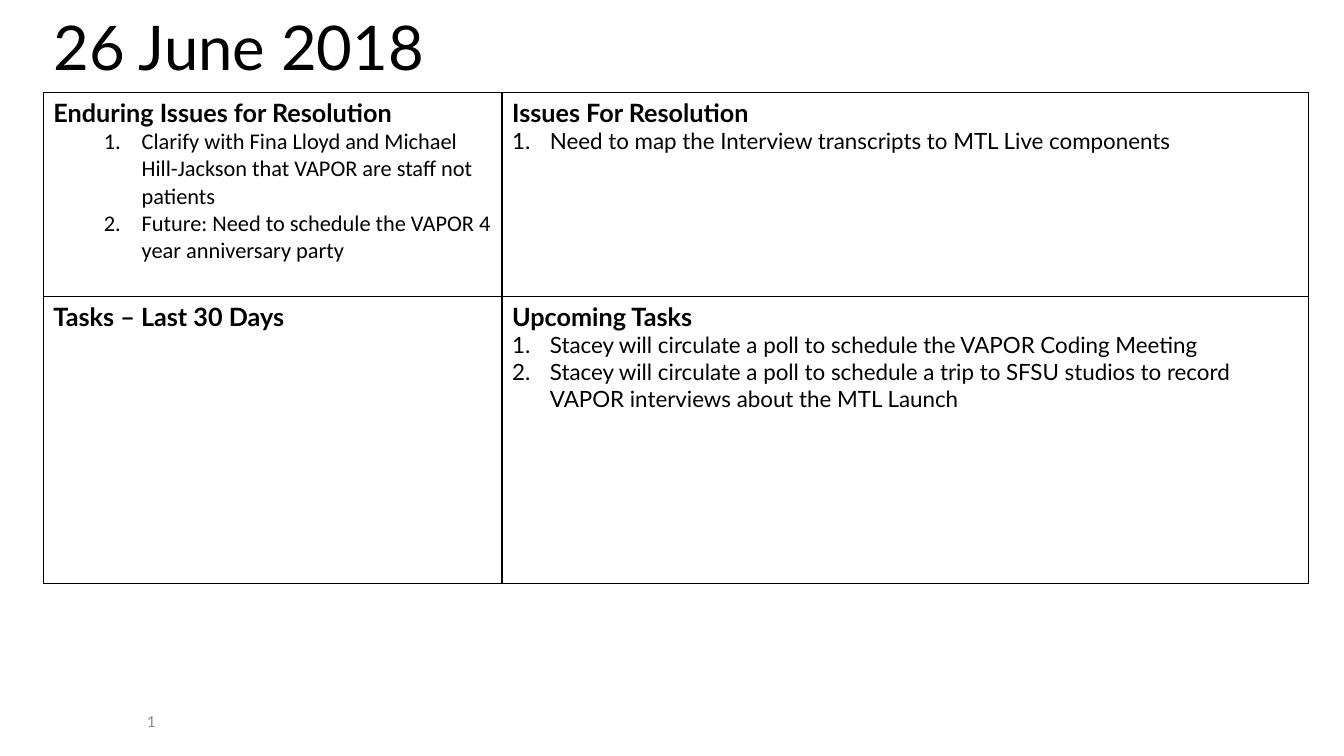
from lxml.etree import SubElement
from pptx import Presentation
from pptx.dml.color import RGBColor
from pptx.enum.text import MSO_ANCHOR as Anchor, PP_ALIGN as Align
from pptx.oxml import parse_xml
from pptx.oxml.ns import nsdecls, qn
from pptx.util import Pt

TITLE = "26 June 2018"
BLACK, GREY = "000000", "8C8C8C"
COLUMN_WIDTHS = (327.6, 576)
ROW_HEIGHTS = (145.4, 205)
LEFT, TABLE_TOP = 31, 66.2
HANGING = 27
SECTIONS = [
    [
        {"heading": "Enduring Issues for Resolution", "font": "Calibri", "level": 1, "items": [
            "Clarify with Fina Lloyd and Michael Hill-Jackson that VAPOR are staff not patients",
            "Future: Need to schedule the VAPOR 4 year anniversary party"]},
        {"heading": "Issues For Resolution", "font": "Lato", "level": 0, "items": [
            "Need to map the Interview transcripts to MTL Live components"]},
    ],
    [
        {"heading": "Tasks – Last 30 Days", "font": "Lato", "level": 0, "items": []},
        {"heading": "Upcoming Tasks", "font": "Lato", "level": 0, "items": [
            "Stacey will circulate a poll to schedule the VAPOR Coding Meeting",
            "Stacey will circulate a poll to schedule a trip to SFSU studios to record "
            "VAPOR interviews about the MTL Launch"]},
    ],
]


def set_font(paragraph, name, size, color, bold=False):
    """Format all the text of a paragraph."""
    font = paragraph.font
    font.name, font.size, font.bold = name, Pt(size), bold
    font.color.rgb = RGBColor.from_string(color)


def number_paragraph(paragraph, level):
    """Give a paragraph an automatic number and a hanging indent."""
    paragraph.level = level
    properties = paragraph._p.get_or_add_pPr()
    properties.set("marL", str(Pt(HANGING + 36 * level)))
    properties.set("indent", str(-Pt(HANGING)))
    numbering = parse_xml(f'<a:buAutoNum {nsdecls("a")} type="arabicPeriod"/>')
    font_properties = properties.find(qn("a:defRPr"))
    font_properties.addprevious(numbering)


def set_borders(cell):
    """Draw a thin black line on every side of a cell."""
    properties = cell._tc.get_or_add_tcPr()
    for position, side in enumerate(("lnL", "lnR", "lnT", "lnB")):
        properties.insert(position, parse_xml(
            f'<a:{side} {nsdecls("a")} w="{Pt(1)}"><a:solidFill>'
            f'<a:srgbClr val="{BLACK}"/></a:solidFill></a:{side}>'))


def fill_cell(cell, section):
    """Write a heading and its numbered items into a cell."""
    cell.fill.background()
    set_borders(cell)
    heading = cell.text_frame.paragraphs[0]
    heading.text = section["heading"]
    set_font(heading, "Lato", 18, BLACK, bold=True)
    for item in section["items"]:
        paragraph = cell.text_frame.add_paragraph()
        paragraph.text = item
        set_font(paragraph, section["font"], 16, BLACK)
        number_paragraph(paragraph, section["level"])


def add_title(slide):
    """Place and format the title."""
    title = slide.shapes.title
    title.left, title.top, title.width, title.height = map(Pt, (LEFT, 7.2, sum(COLUMN_WIDTHS), 57.6))
    title.text_frame.text = TITLE
    title.text_frame.vertical_anchor = Anchor.MIDDLE
    paragraph = title.text_frame.paragraphs[0]
    paragraph.alignment, paragraph.line_spacing = Align.LEFT, 0.9
    set_font(paragraph, "Lato", 44, BLACK)


def add_sections(slide):
    """Add the table of issues and tasks."""
    frame = slide.shapes.add_table(len(ROW_HEIGHTS), len(COLUMN_WIDTHS), Pt(LEFT), Pt(TABLE_TOP),
                                   Pt(sum(COLUMN_WIDTHS)), Pt(sum(ROW_HEIGHTS)))
    table = frame.table
    table.first_row = table.horz_banding = False
    for column, width in zip(table.columns, COLUMN_WIDTHS):
        column.width = Pt(width)
    for row, height, sections in zip(table.rows, ROW_HEIGHTS, SECTIONS):
        row.height = Pt(height)
        for cell, section in zip(row.cells, sections):
            fill_cell(cell, section)


def add_slide_number(slide):
    """Add a slide number field at the bottom left."""
    box = slide.shapes.add_textbox(Pt(0), Pt(500.4), Pt(216), Pt(28.8))
    box.text_frame.word_wrap = True
    box.text_frame.vertical_anchor = Anchor.MIDDLE
    paragraph = box.text_frame.paragraphs[0]
    paragraph.alignment = Align.CENTER
    set_font(paragraph, "Calibri", 12, GREY)
    field = SubElement(paragraph._p, qn("a:fld"), type="slidenum",
                       id="{B6F15528-21DE-4FAA-801E-634DDDAF4B2B}")
    SubElement(field, qn("a:rPr"), lang="en-US")
    SubElement(field, qn("a:t")).text = "1"


presentation = Presentation()
presentation.slide_width, presentation.slide_height = Pt(960), Pt(540)
slide = presentation.slides.add_slide(presentation.slide_layouts[5])
add_title(slide)
add_sections(slide)
add_slide_number(slide)
presentation.save("out.pptx")
